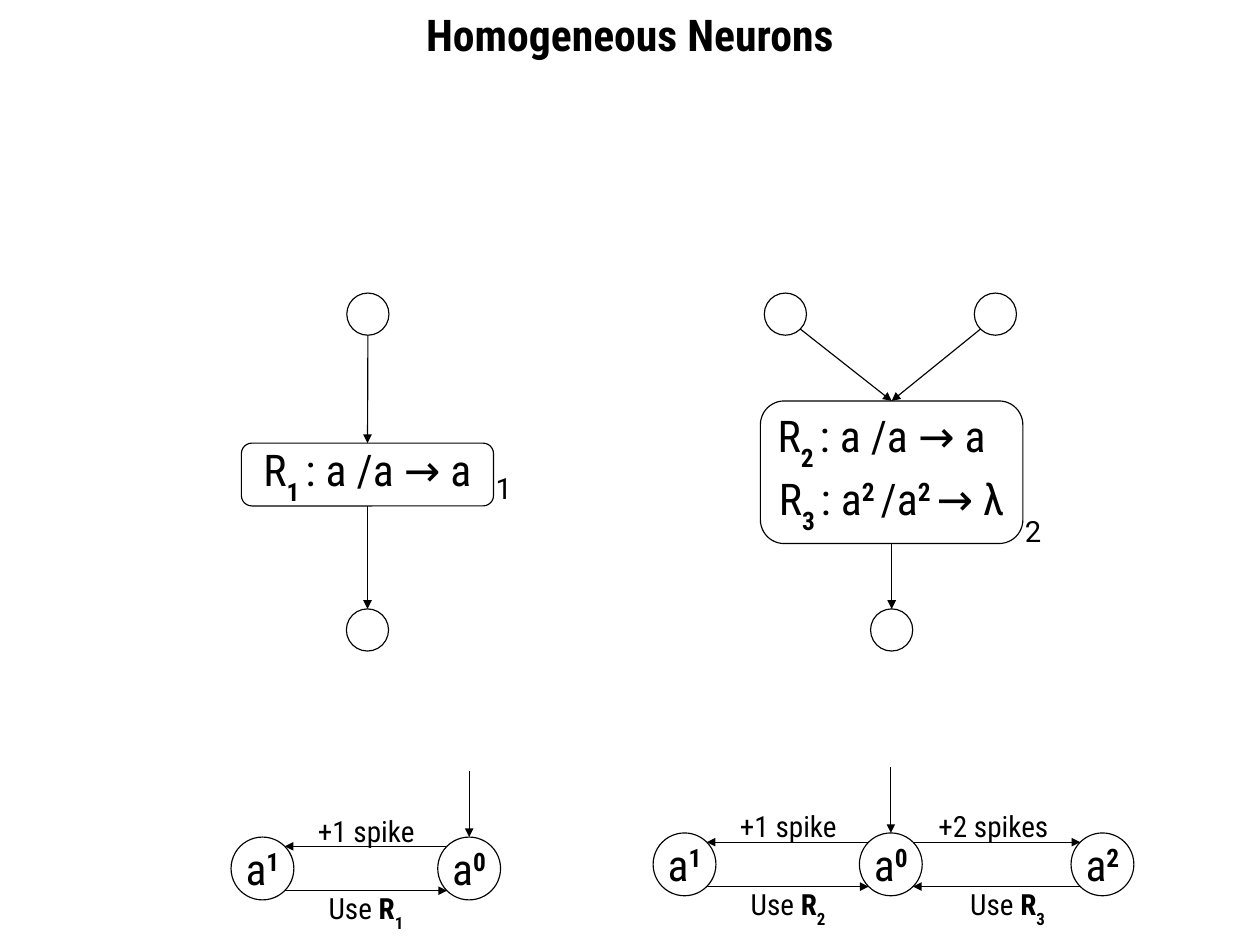
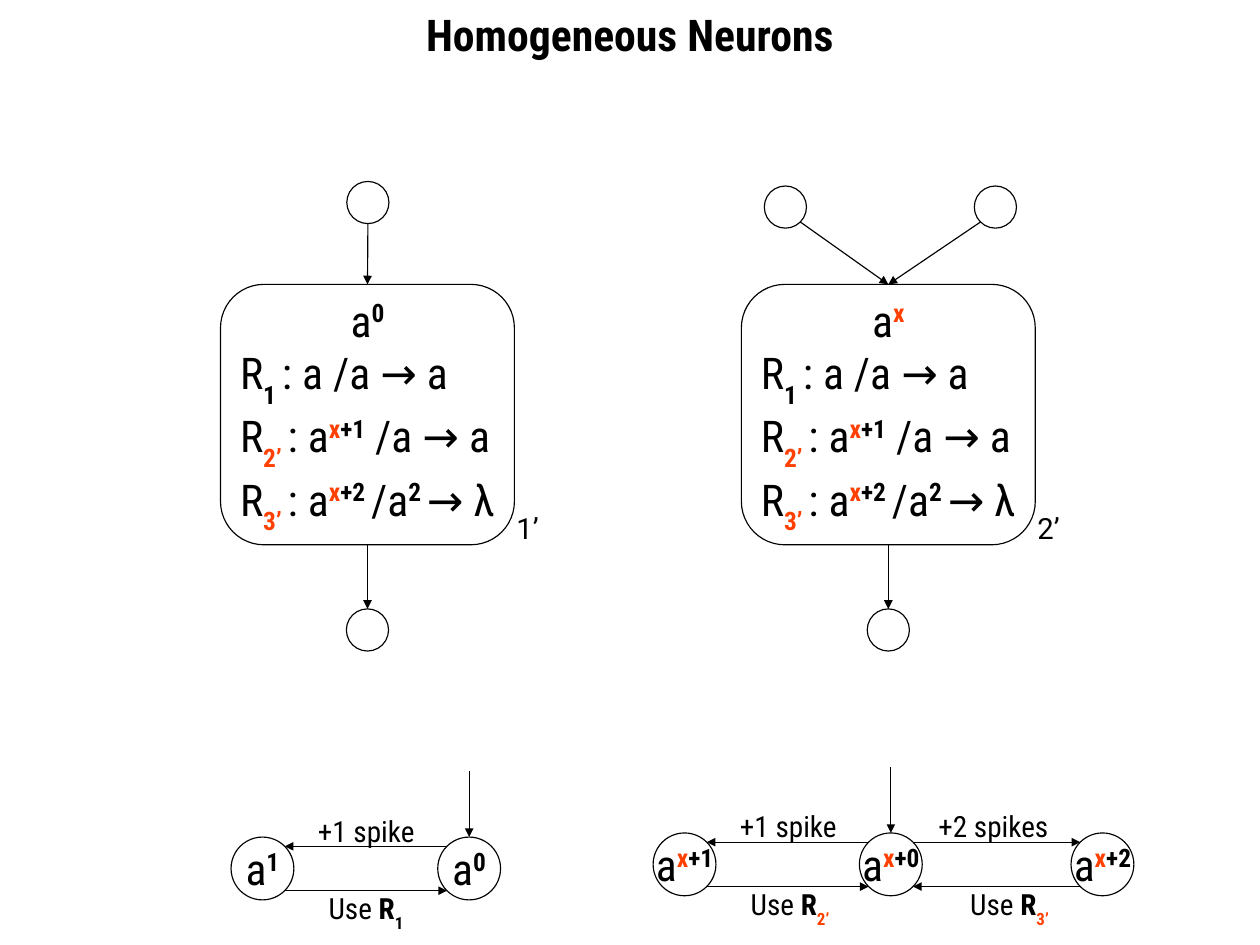
from math import sqrt

from lxml import etree
from pptx import Presentation
from pptx.dml.color import RGBColor
from pptx.enum.shapes import MSO_CONNECTOR, MSO_SHAPE
from pptx.enum.text import MSO_ANCHOR, PP_ALIGN
from pptx.oxml.ns import qn
from pptx.util import Cm, Pt

CENTER, LEFT = PP_ALIGN.CENTER, PP_ALIGN.LEFT
TOP, MIDDLE = MSO_ANCHOR.TOP, MSO_ANCHOR.MIDDLE
ELLIPSE, ROUNDED = MSO_SHAPE.OVAL, MSO_SHAPE.ROUNDED_RECTANGLE
STRAIGHT = MSO_CONNECTOR.STRAIGHT

COLORS = {"ink": "000000", "new": "FF4000"}
CONDENSED, REGULAR = "Roboto Condensed", "Roboto"

# Run style: bold, baseline shift in thousandths of a percent, colour
RUN_STYLES = {
    "plain": (False, 0, "ink"),
    "bold": (True, 0, "ink"),
    "sub": (True, -33000, "ink"),
    "sup": (True, 33000, "ink"),
    "new sub": (True, -33000, "new"),
    "new sup": (True, 33000, "new"),
}

# Lengths below are centimetres
SLIDE_WIDTH, SLIDE_HEIGHT = 30.48, 22.86
NODE, STATE = 1.02, 1.52
OUTPUT_TOP = 14.73
DIAGONAL = sqrt(0.5)

RULE_1 = [("R", "plain"), ("1 ", "sub"), (": a /a → a", "plain")]
RULE_2 = [("R", "plain"), ("2 ", "sub"), (": a /a → a", "plain")]
RULE_3 = [("R", "plain"), ("3 ", "sub"), (": a", "plain"), ("2 ", "sup"),
          ("/a", "plain"), ("2 ", "sup"), ("→ λ", "plain")]
SHIFTED_RULE_2 = [("R", "plain"), ("2’ ", "new sub"), (": a", "plain"),
                  ("x", "new sup"), ("+1", "sup"), (" /a → a", "plain")]
SHIFTED_RULE_3 = [("R", "plain"), ("3’ ", "new sub"), (": a", "plain"),
                  ("x", "new sup"), ("+2 ", "sup"), ("/a", "plain"),
                  ("2 ", "sup"), ("→ λ", "plain")]
MERGED_RULES = [RULE_1, SHIFTED_RULE_2, SHIFTED_RULE_3]


def spikes(count, shifted=False):
    """Runs for a to the power of count, or of x+count."""
    if shifted:
        return [("a", "plain"), ("x", "new sup"), (f"+{count}", "sup")]
    return [("a", "plain"), (str(count), "sup")]


class Deck:
    def __init__(self):
        self.presentation = Presentation()
        self.presentation.slide_width = Cm(SLIDE_WIDTH)
        self.presentation.slide_height = Cm(SLIDE_HEIGHT)
        self.slide = None

    def new_slide(self, heading):
        layout = self.presentation.slide_layouts[5]
        self.slide = self.presentation.slides.add_slide(layout)
        title = self.slide.shapes.title
        title.left, title.top = Cm(0), Cm(0.05)
        title.width, title.height = Cm(SLIDE_WIDTH), Cm(1.65)
        self.set_lines(title, [[(heading, "bold")]], [CENTER], anchor=TOP)

    def set_lines(self, shape, lines, alignments, size=30, font=CONDENSED,
                  anchor=MIDDLE, wrap=True):
        frame = shape.text_frame
        frame.word_wrap = wrap
        frame.vertical_anchor = anchor
        for index, (line, alignment) in enumerate(zip(lines, alignments)):
            paragraph = frame.add_paragraph() if index else frame.paragraphs[0]
            paragraph.alignment = alignment
            for text, style in line:
                bold, baseline, color = RUN_STYLES[style]
                run = paragraph.add_run()
                run.text = text
                run.font.name = font
                run.font.size = Pt(size)
                run.font.bold = bold
                run.font.color.rgb = RGBColor.from_string(COLORS[color])
                if baseline:
                    run._r.get_or_add_rPr().set("baseline", str(baseline))

    def label(self, left, top, width, height, runs, font=CONDENSED):
        box = self.slide.shapes.add_textbox(
            Cm(left), Cm(top), Cm(width), Cm(height))
        self.set_lines(box, [runs], [LEFT], size=20, font=font, anchor=TOP)

    def outline(self, kind, center, top, width, height):
        """Unfilled shape, placed by its horizontal centre."""
        shape = self.slide.shapes.add_shape(
            kind, Cm(center - width / 2), Cm(top), Cm(width), Cm(height))
        shape.shadow.inherit = False
        shape.fill.background()
        self.ink(shape.line)
        return shape

    def ink(self, line):
        line.color.rgb = RGBColor.from_string(COLORS["ink"])
        line.width = Pt(0.79)

    def arrow(self, start_x, start_y, end_x, end_y):
        connector = self.slide.shapes.add_connector(
            STRAIGHT, Cm(start_x), Cm(start_y), Cm(end_x), Cm(end_y))
        self.ink(connector.line)
        stroke = connector.line._get_or_add_ln()
        etree.SubElement(stroke, qn("a:tailEnd"), type="triangle")
        etree.SubElement(connector._element.spPr, qn("a:effectLst"))

    def neuron(self, name, name_top, center, top, width, height, rules,
               inputs, input_top, content=None):
        """Rule box with its input nodes, output node and corner name."""
        lines = ([content] if content else []) + rules
        alignments = [LEFT] * (len(rules) - 1) + [CENTER]
        if content:
            alignments.insert(0, CENTER)
        body = self.outline(ROUNDED, center, top, width, height)
        self.set_lines(body, lines, alignments, wrap=False)
        self.label(center + width / 2 - 0.2, name_top, 0.75 + 0.23 * len(name),
                   1.19, [(name, "plain")], font=REGULAR)

        radius = NODE / 2
        for input_center in inputs:
            self.outline(ELLIPSE, input_center, input_top, NODE, NODE)
            start_x, drop = input_center, radius
            if len(inputs) > 1:
                drop = radius * DIAGONAL
                start_x += drop if input_center < center else -drop
            self.arrow(start_x, input_top + radius + drop, center, top)

        self.outline(ELLIPSE, center, OUTPUT_TOP, NODE, NODE)
        self.arrow(center, top + height, center, OUTPUT_TOP)

    def state(self, center, top, runs):
        circle = self.outline(ELLIPSE, center, top, STATE, STATE)
        self.set_lines(circle, [runs], [CENTER], wrap=False)

    def start_arrow(self, center, top):
        self.arrow(center, top - 1.6, center, top)

    def transition(self, base, target, top, gain, gain_left, rule, rule_left):
        """Arrows from base to target and back, each with its label."""
        reach = STATE / 2 * DIAGONAL
        middle = top + STATE / 2
        side = reach if target > base else -reach
        self.arrow(base + side, middle - reach, target - side, middle - reach)
        self.arrow(target - side, middle + reach, base + side, middle + reach)
        self.label(gain_left, top - 0.71, 3.3, 1.19, [(gain, "plain")])
        self.label(rule_left, top + 1.17, 2.54, 1.35,
                   [("Use ", "plain"), ("R", "bold"), rule])

    def state_diagrams(self, shifted):
        """Two-state diagram on the left, three-state diagram on the right."""
        top, base = 20.25, 11.35
        self.state(6.35, top, spikes(1))
        self.state(base, top, spikes(0))
        self.start_arrow(base, top)
        self.transition(base, 6.35, top, "+1 spike", 7.44, ("1", "sub"), 7.7)

        top, base = 20.15, 21.55
        for count, center in enumerate((base, 16.56, 26.67)):
            self.state(center, top, spikes(count, shifted))
        self.start_arrow(base, top)
        mark, style = ("’", "new sub") if shifted else ("", "sub")
        self.transition(base, 16.56, top, "+1 spike", 17.65,
                        ("2" + mark, style), 17.91)
        self.transition(base, 26.67, top, "+2 spikes", 22.45,
                        ("3" + mark, style), 23.22)


def main():
    deck = Deck()
    heading = "Homogeneous Neurons"
    single_input, input_pair = [8.9], [19, 24.08]

    deck.new_slide(heading)
    deck.neuron("1", 11.25, 8.89, 10.72, 6.1, 1.52, [RULE_1],
                single_input, 7.09)
    deck.neuron("2", 12.29, 21.57, 9.7, 6.35, 3.45, [RULE_2, RULE_3],
                input_pair, 7.09)
    deck.state_diagrams(shifted=False)

    deck.new_slide(heading)
    merged_box = {"top": 6.88, "width": 7.11, "height": 6.3,
                  "name_top": 12.22, "rules": MERGED_RULES}
    deck.neuron("1’", center=8.89, inputs=single_input, input_top=4.39,
                content=spikes(0), **merged_box)
    deck.neuron("2’", center=21.49, inputs=input_pair, input_top=4.5,
                content=[("a", "plain"), ("x", "new sup")], **merged_box)
    deck.state_diagrams(shifted=True)

    deck.presentation.save("out.pptx")


if __name__ == "__main__":
    main()
